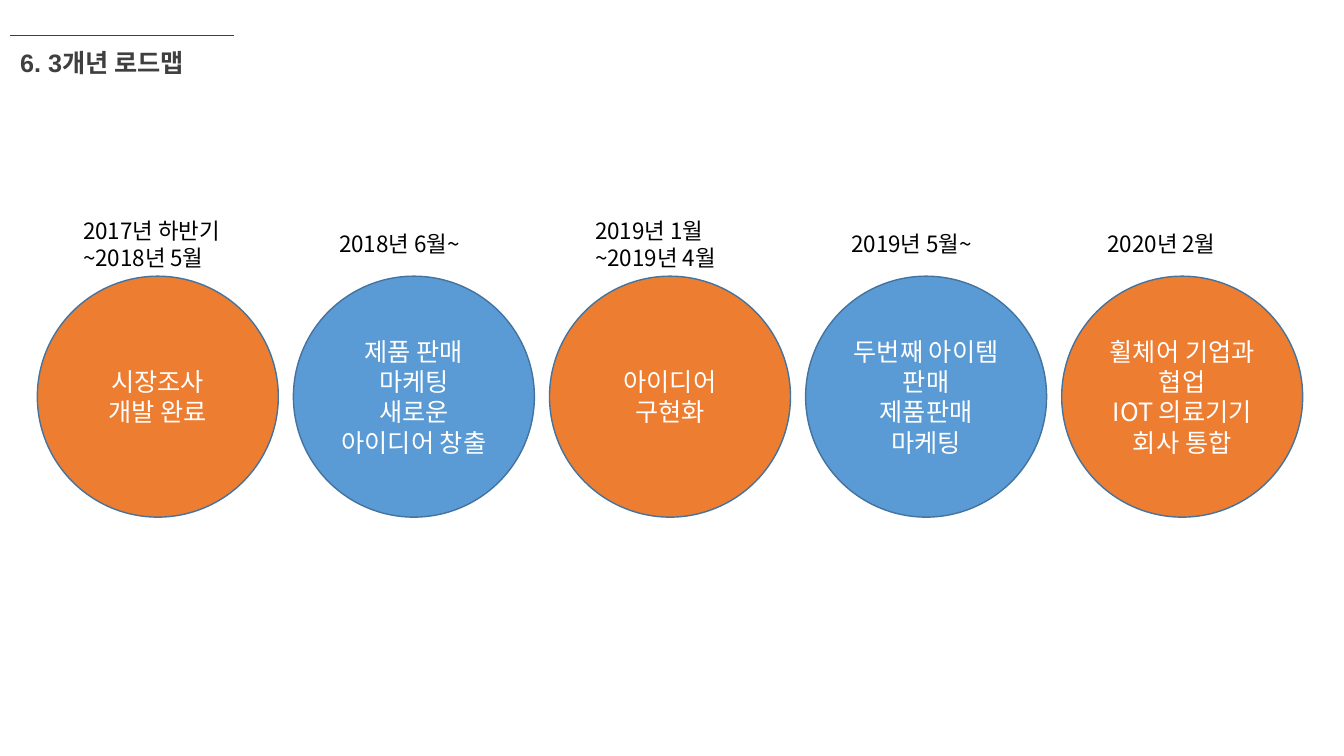
from lxml.etree import SubElement
from pptx import Presentation
from pptx.dml.color import RGBColor
from pptx.enum.shapes import MSO_CONNECTOR, MSO_SHAPE
from pptx.enum.text import MSO_ANCHOR as ANCHOR, PP_ALIGN as ALIGN
from pptx.oxml.ns import qn
from pptx.util import Inches, Pt

KOREAN = "Noto Sans CJK KR"
GRAY, BLACK, WHITE = "3F3F3F", "000000", "FFFFFF"
ORANGE, BLUE, OUTLINE = "ED7D31", "5B9BD5", "43739E"

STEPS = [
    ("2017년 하반기~2018년 5월", ["시장조사", "개발 완료"]),
    ("2018년 6월~", ["제품 판매", "마케팅", "새로운 아이디어 창출"]),
    ("2019년 1월~2019년 4월", ["아이디어 구현화"]),
    ("2019년 5월~", ["두번째 아이템 판매", "제품판매 마케팅"]),
    ("2020년 2월", ["휠체어 기업과 협업", "IOT 의료기기 회사 통합"]),
]


def rgb(value):
    return RGBColor.from_string(value)


def write(sp, lines, size, color, font=KOREAN, bold=False, align=ALIGN.LEFT,
          anchor=ANCHOR.MIDDLE):
    """Fill a shape with one paragraph per line."""
    tf = sp.text_frame
    tf.word_wrap = True
    tf.vertical_anchor = anchor
    tf.text = "\n".join(lines)
    for p in tf.paragraphs:
        p.alignment = align
        p.font.name = font
        p.font.size = Pt(size)
        p.font.bold = bold
        p.font.color.rgb = rgb(color)
        props = p._p.get_or_add_pPr().find(qn("a:defRPr"))
        SubElement(props, qn("a:ea"), typeface=KOREAN)


def add_heading(slide, text, x, y, w):
    rule = slide.shapes.add_connector(
        MSO_CONNECTOR.STRAIGHT, Inches(x), Inches(y), Inches(x + w), Inches(y))
    rule.line.color.rgb = rgb(GRAY)
    rule.line.width = Pt(1)
    SubElement(rule._element.spPr, qn("a:effectLst"))
    sp = slide.shapes.add_textbox(Inches(x), Inches(y + 0.07), Inches(w), Inches(0.4))
    write(sp, [text], 18, GRAY, font="Arial", bold=True, anchor=ANCHOR.TOP)


def add_step(slide, period, tasks, fill, x, y, size):
    """Draw a circle of tasks with its period above it."""
    sp = slide.shapes.add_shape(
        MSO_SHAPE.OVAL, Inches(x), Inches(y), Inches(size), Inches(size))
    sp.shadow.inherit = False
    sp.fill.solid()
    sp.fill.fore_color.rgb = rgb(fill)
    sp.line.color.rgb = rgb(OUTLINE)
    sp.line.width = Pt(1)
    write(sp, tasks, 18, WHITE, align=ALIGN.CENTER)

    label_w, label_h = 1.68, 0.64
    label = slide.shapes.add_textbox(
        Inches(x + (size - label_w) / 2), Inches(y - label_h),
        Inches(label_w), Inches(label_h))
    write(label, [period], 16, BLACK)


def add_roadmap(slide, x, y, size, pitch):
    for i, (period, tasks) in enumerate(STEPS):
        fill = BLUE if i % 2 else ORANGE
        add_step(slide, period, tasks, fill, x + i * pitch, y, size)


def main():
    prs = Presentation()
    prs.slide_width, prs.slide_height = Inches(13.33), Inches(7.5)
    slide = prs.slides.add_slide(prs.slide_layouts[6])
    add_heading(slide, "6. 3개년 로드맵", 0.1, 0.35, 2.22)
    add_roadmap(slide, 0.37, 2.74, 2.39, 2.54)
    prs.save("out.pptx")


if __name__ == "__main__":
    main()
